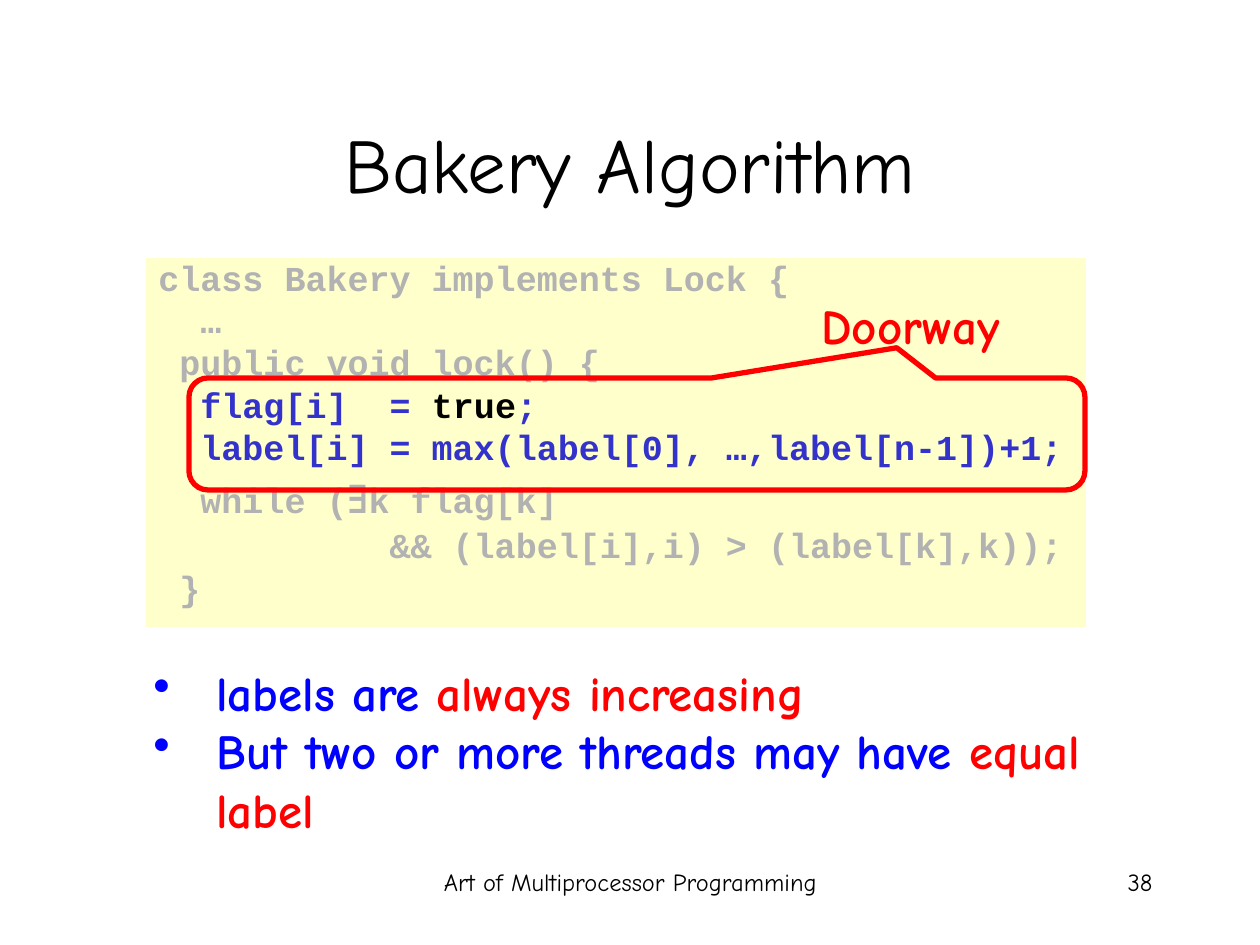
"""Build the Bakery Algorithm slide with its code panel and doorway callout."""
from lxml import etree
from pptx import Presentation
from pptx.dml.color import RGBColor
from pptx.enum.shapes import MSO_SHAPE
from pptx.enum.text import MSO_ANCHOR, PP_ALIGN
from pptx.oxml.ns import qn
from pptx.util import Emu, Pt

RECT = MSO_SHAPE.RECTANGLE
CALLOUT = MSO_SHAPE.ROUNDED_RECTANGULAR_CALLOUT
TOP, MIDDLE = MSO_ANCHOR.TOP, MSO_ANCHOR.MIDDLE
LEFT, CENTER, RIGHT = PP_ALIGN.LEFT, PP_ALIGN.CENTER, PP_ALIGN.RIGHT
SCALE = 914400 / 126
HEX = {"black": "000000", "gray": "B2B2B2", "navy": "3333CC",
       "blue": "0000FF", "red": "FF0000", "cream": "FFFFCC"}
COLOR = {name: RGBColor.from_string(code) for name, code in HEX.items()}
SANS = {"name": "Comic Neue", "size": Pt(28), "bold": True}
CODE = {"name": "Courier New", "size": Pt(20), "bold": True}
MATH = {"name": "Arial", "size": Pt(28)}


def px(*nums):
    return [Emu(round(num * SCALE)) for num in nums]


def write(shape, lines, font, align=LEFT, anchor=TOP, hang=0, space={}):
    frame = shape.text_frame
    frame.word_wrap = True
    frame.vertical_anchor = anchor
    for row, runs in enumerate(lines):
        para = frame.paragraphs[0] if row == 0 else frame.add_paragraph()
        para.alignment = align
        props = para._p.get_or_add_pPr()
        props.set("marL", str(px(hang)[0]))
        props.set("indent", str(px(-hang)[0]))
        for key, value in space.items():
            if row or key != "space_before":
                setattr(para, key, value)
        for text, color, *extra in runs:
            run = para.add_run()
            run.text = text
            run.font.color.rgb = COLOR[color]
            for part in (font, *extra):
                for key, value in part.items():
                    setattr(run.font, key, value)


deck = Presentation()
deck.slide_width, deck.slide_height = px(1260, 945)
slide = deck.slides.add_slide(deck.slide_layouts[6])
shapes = slide.shapes

small = {"name": "Comic Neue", "size": Pt(14)}
large = {"name": "Comic Neue", "size": Pt(44)}
labels = [
    ((431, 861, 399, 63), "Art of Multiprocessor Programming", small, CENTER, TOP),
    ((903, 861, 262, 63), "38", small, RIGHT, TOP),
    ((95, 84, 1070, 158), "Bakery Algorithm", large, CENTER, MIDDLE),
]
for area, text, font, align, anchor in labels:
    write(shapes.add_textbox(*px(*area)), [[(text, "black")]], font, align, anchor)

panel = shapes.add_shape(RECT, *px(146, 258, 940, 369))
panel.shadow.inherit = False
panel.fill.solid()
panel.fill.fore_color.rgb = COLOR["cream"]
panel.line.fill.background()
code = [
    [("class Bakery implements Lock {", "gray")],
    [("  …", "gray")],
    [(" public void lock() {", "gray")],
    [("  flag[i]  = ", "navy"), ("true", "black"), (";", "navy")],
    [("  label[i] = max(label[0], …,label[n-1])+1;", "navy")],
    [("  while (", "gray"), ("∃", "gray", MATH), ("k flag[k]", "gray")],
    [("           && (label[i],i) > (label[k],k));", "gray")],
    [(" }", "gray")],
]
write(panel, code, CODE, hang=32,
      space={"line_spacing": 0.8, "space_before": Pt(5)})

door = shapes.add_shape(CALLOUT, *px(189, 378, 896, 112))
door.shadow.inherit = False
door.fill.background()
door.line.color.rgb = COLOR["red"]
door.line.width = Pt(3)
for spot, value in enumerate((0.29, -0.77, 0.17)):
    door.adjustments[spot] = value
write(shapes.add_textbox(*px(630, 289, 561, 72)), [[("Doorway", "red")]], SANS, CENTER)

notes = shapes.add_textbox(*px(141, 656, 977, 189))
points = [
    [("labels are ", "blue"), ("always increasing", "red")],
    [("But two or more threads may have ", "blue"), ("equal label", "red")],
]
write(notes, points, SANS, hang=63)
for para in notes.text_frame.paragraphs:
    props = para._p.get_or_add_pPr()
    tint = etree.SubElement(props, qn("a:buClr"))
    etree.SubElement(tint, qn("a:srgbClr"), val=HEX["blue"])
    etree.SubElement(props, qn("a:buChar"), char="•")

deck.save("out.pptx")
